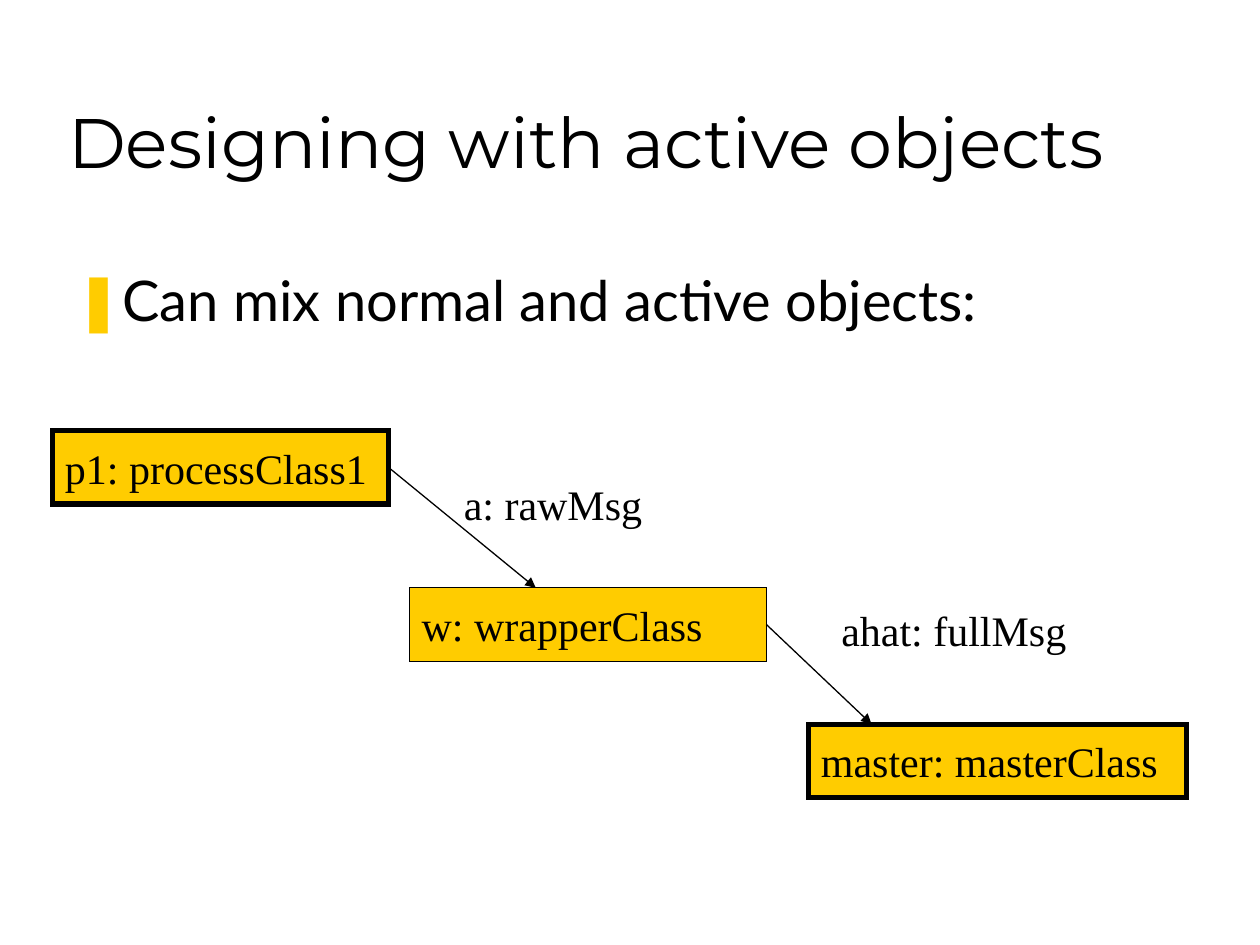
from lxml.etree import SubElement
from pptx import Presentation
from pptx.dml.color import RGBColor
from pptx.enum.shapes import MSO_CONNECTOR as Connector, MSO_SHAPE as Shape
from pptx.enum.text import MSO_ANCHOR as Anchor, MSO_AUTO_SIZE as AutoSize, PP_ALIGN as Align
from pptx.oxml.ns import qn
from pptx.util import Cm, Pt

THEME = {
    "ink": RGBColor(0x00, 0x00, 0x00),
    "accent": RGBColor(0xFF, 0xCC, 0x00),
    "title": ("Montserrat", 40),
    "body": ("Lato", 32),
    "diagram": ("Times New Roman", 24),
    "active_line": 3,
    "normal_line": 0.75,
}

TITLE = ("Designing with active objects", (1.12, 0.62, 21.59, 3.18))
POINT = ("Can mix normal and active objects:", (1.27, 5.23, 22.7, 2.79))
OBJECT_HEIGHT = 1.48
OBJECTS = {
    "p1": ("p1: processClass1", 1.06, 8.68, 6.77, "active_line"),
    "master": ("master: masterClass", 16.3, 14.6, 7.62, "active_line"),
    "w": ("w: wrapperClass", 8.25, 11.85, 7.2, "normal_line"),
}
MESSAGES = [
    ("a: rawMsg", (9.1, 9.53, 4.3, 1.27), "p1", (10.8, 11.85)),
    ("ahat: fullMsg", (16.71, 12.07, 5.3, 1.27), "w", (17.57, 14.6)),
]
RIGHT_SIDE = 3


def write(frame, text, style, anchor=Anchor.TOP, wrap=True, bullet=None):
    frame.word_wrap = wrap
    frame.auto_size = AutoSize.NONE
    frame.vertical_anchor = anchor
    paragraph = frame.paragraphs[0]
    paragraph.alignment = Align.LEFT
    if bullet:
        properties = paragraph._p.get_or_add_pPr()
        properties.set("marL", str(Cm(0.95)))
        properties.set("indent", str(Cm(-0.95)))
        colour = SubElement(properties, qn("a:buClr"))
        SubElement(colour, qn("a:srgbClr"), val=str(THEME["accent"]))
        SubElement(properties, qn("a:buFont"), typeface=THEME[style][0])
        SubElement(properties, qn("a:buChar"), char=bullet)
    run = paragraph.add_run()
    run.text = text
    run.font.name, size = THEME[style]
    run.font.size = Pt(size)
    run.font.color.rgb = THEME["ink"]


def add_object(slide, text, left, top, width, line):
    box = slide.shapes.add_shape(
        Shape.RECTANGLE, Cm(left), Cm(top), Cm(width), Cm(OBJECT_HEIGHT))
    box.shadow.inherit = False
    box.fill.solid()
    box.fill.fore_color.rgb = THEME["accent"]
    box.line.color.rgb = THEME["ink"]
    box.line.width = Pt(THEME[line])
    SubElement(box.line._get_or_add_ln(), qn("a:miter"), lim="800000")
    write(box.text_frame, text, "diagram", anchor=Anchor.MIDDLE, wrap=False)
    return box


def add_arrow(slide, sender, target):
    x, y = map(Cm, target)
    arrow = slide.shapes.add_connector(Connector.STRAIGHT, x, y, x, y)
    arrow.begin_connect(sender, RIGHT_SIDE)
    arrow.line.color.rgb = THEME["ink"]
    arrow.line.width = Pt(THEME["normal_line"])
    SubElement(arrow.line._get_or_add_ln(), qn("a:tailEnd"), type="triangle")
    SubElement(arrow._element.spPr, qn("a:effectLst"))


def main():
    deck = Presentation()
    deck.slide_width, deck.slide_height = Cm(25.4), Cm(19.05)
    slide = deck.slides.add_slide(deck.slide_layouts[5])

    heading, place = TITLE
    title = slide.shapes.title
    title.left, title.top, title.width, title.height = map(Cm, place)
    write(title.text_frame, heading, "title", anchor=Anchor.BOTTOM)

    statement, place = POINT
    point = slide.shapes.add_textbox(*map(Cm, place))
    write(point.text_frame, statement, "body", bullet="❚")

    boxes = {name: add_object(slide, *details) for name, details in OBJECTS.items()}

    for message, place, sender, target in MESSAGES:
        add_arrow(slide, boxes[sender], target)
        label = slide.shapes.add_textbox(*map(Cm, place))
        write(label.text_frame, message, "diagram")

    deck.save("out.pptx")


if __name__ == "__main__":
    main()
